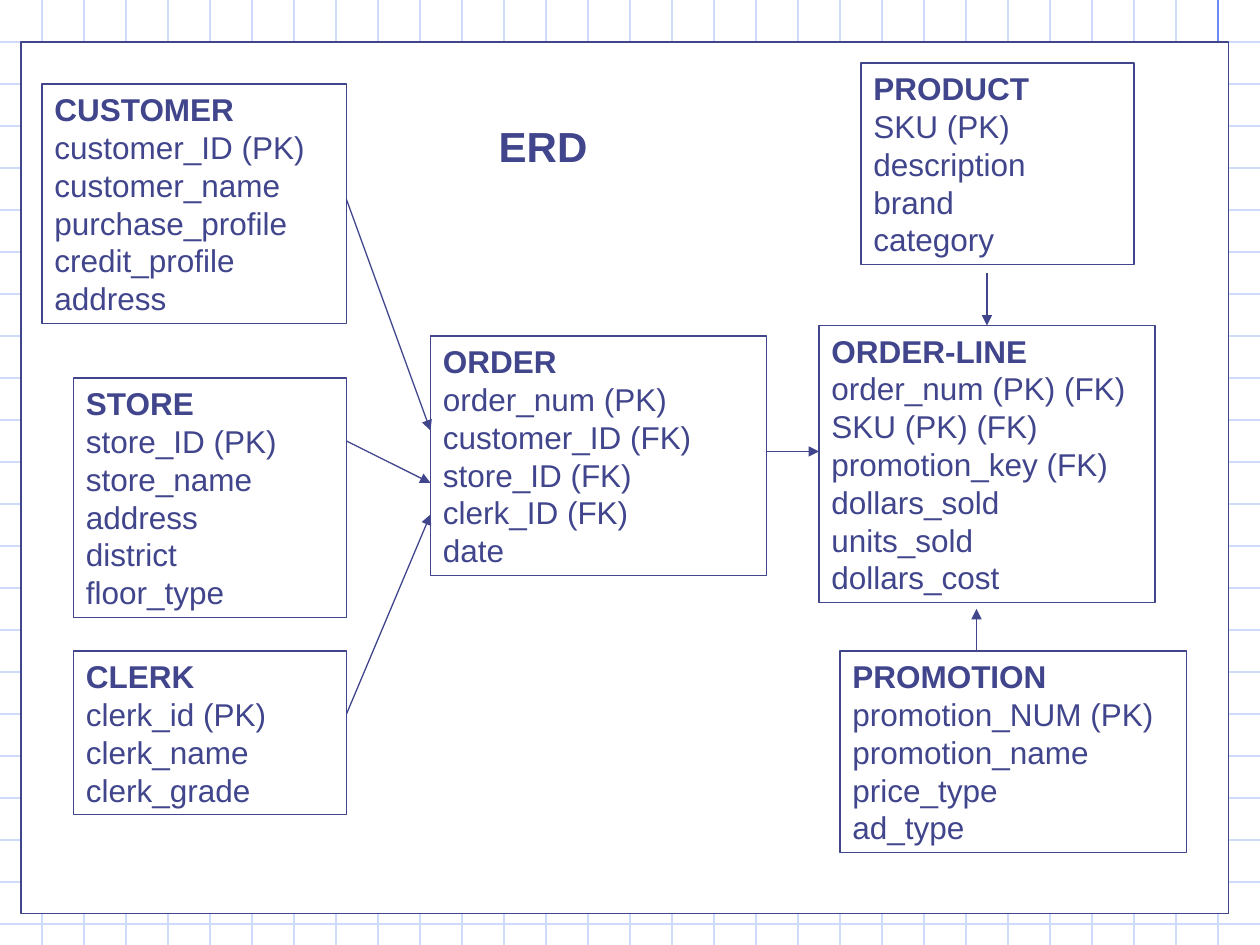
from lxml import etree
from pptx import Presentation, util as u
from pptx.dml.color import RGBColor
from pptx.enum import shapes, text
from pptx.oxml.ns import qn

INK = RGBColor(0x40, 0x45, 0x8C)
GRID = RGBColor(0xCF, 0xDB, 0xFD)
MARGIN = RGBColor(0x6F, 0x89, 0xF7)
WHITE = RGBColor(0xFF, 0xFF, 0xFF)

# The layout grid is 120 columns by 90 rows; ruled paper has a line every 4.
COLS, ROWS, RULE = 120, 90, 4
UNIT = u.Inches(10) // COLS
LEADING = 1.2  # line height as a share of the text size
INSET_X, INSET_Y = u.Inches(0.1), u.Inches(0.05)

# Entity: left column, top row, width in columns, attributes
ENTITIES = {
    "ORDER": (41, 32, 32, ["order_num (PK)", "customer_ID (FK)", "store_ID (FK)",
                           "clerk_ID (FK)", "date"]),
    "STORE": (7, 36, 26, ["store_ID (PK)", "store_name", "address", "district",
                          "floor_type"]),
    "CLERK": (7, 62, 26, ["clerk_id (PK)", "clerk_name", "clerk_grade"]),
    "PRODUCT": (82, 6, 26, ["SKU (PK)", "description", "brand", "category"]),
    "CUSTOMER": (4, 8, 29, ["customer_ID (PK)", "customer_name", "purchase_profile",
                            "credit_profile", "address"]),
    "PROMOTION": (80, 62, 33, ["promotion_NUM (PK)", "promotion_name", "price_type",
                               "ad_type"]),
    "ORDER-LINE": (78, 31, 32, ["order_num (PK) (FK)", "SKU (PK) (FK)",
                                "promotion_key (FK)", "dollars_sold", "units_sold",
                                "dollars_cost"]),
}

# Relationships that meet a box away from the middle of its side
RELATIONS = [
    (33, 19, 41, 41),  # customer to order
    (33, 42, 41, 46),  # store to order
    (33, 68, 41, 49),  # clerk to order
    (73, 43, 78, 43),  # order to order line
    (93, 62, 93, 58),  # promotion to order line
]


def add_line(slide, x1, y1, x2, y2, color, arrow=False):
    line = slide.shapes.add_connector(
        shapes.MSO_CONNECTOR.STRAIGHT, *(UNIT * v for v in (x1, y1, x2, y2)))
    line.line.color.rgb = color
    line.line.width = u.Pt(0.75)
    if arrow:
        etree.SubElement(line.line._get_or_add_ln(), qn("a:tailEnd"), type="triangle")
    etree.SubElement(line._element.spPr, qn("a:effectLst"))
    return line


def add_box(slide, x, y, w, h, fill=None):
    sp = slide.shapes.add_shape(shapes.MSO_SHAPE.RECTANGLE, x, y, w, h)
    sp.shadow.inherit = False
    if fill is None:
        sp.fill.background()
    else:
        sp.fill.solid()
        sp.fill.fore_color.rgb = fill
    sp.line.color.rgb = INK
    sp.line.width = u.Pt(0.75)
    return sp


def write_lines(sp, lines, size):
    """Bold first line, plain lines below it."""
    tf = sp.text_frame
    tf.word_wrap = True
    tf.auto_size = text.MSO_AUTO_SIZE.SHAPE_TO_FIT_TEXT
    tf.vertical_anchor = text.MSO_ANCHOR.TOP
    tf.margin_left = tf.margin_right = INSET_X
    tf.margin_top = tf.margin_bottom = INSET_Y
    for i, line in enumerate(lines):
        p = tf.paragraphs[0] if i == 0 else tf.add_paragraph()
        p.alignment = text.PP_ALIGN.LEFT
        p.line_spacing = u.Pt(size * LEADING)
        r = p.add_run()
        r.text = line
        r.font.name = "Arial"
        r.font.size = u.Pt(size)
        r.font.bold = i == 0
        r.font.color.rgb = INK


def text_height(count, size):
    return u.Pt(count * size * LEADING) + 2 * INSET_Y


def draw_paper(slide, cols, rows):
    for row in range(RULE, rows, RULE):
        add_line(slide, 0, row, cols, row, GRID)
    for col in range(RULE, cols, RULE):
        add_line(slide, col, 0, col, rows, GRID)
    add_line(slide, cols - RULE, 0, cols - RULE, 31, MARGIN)


def draw_entity(slide, name, col, row, width, attributes):
    lines = [name] + attributes
    sp = add_box(slide, UNIT * col, UNIT * row, UNIT * width,
                 text_height(len(lines), 18))
    write_lines(sp, lines, 18)
    return sp


def draw_title(slide, x, y, w):
    sp = slide.shapes.add_textbox(x, y, w, text_height(1, 24))
    write_lines(sp, ["ERD"], 24)


def draw_diagram(slide, col, row, width, height):
    # White panel
    add_box(slide, *(UNIT * v for v in (col, row, width, height)), fill=WHITE)
    # Entities
    boxes = {name: draw_entity(slide, name, *spec_)
             for name, spec_ in ENTITIES.items()}
    # Relationships
    for ends in RELATIONS:
        add_line(slide, *ends, INK, arrow=True)
    product = add_line(slide, 94, 26, 94, 31, INK, arrow=True)
    product.end_connect(boxes["ORDER-LINE"], 0)
    # Title
    draw_title(slide, u.Inches(3.86), u.Inches(0.91), u.Inches(1.98))


def main():
    prs = Presentation()
    prs.slide_width, prs.slide_height = UNIT * COLS, UNIT * ROWS
    s = prs.slides.add_slide(prs.slide_layouts[6])
    draw_paper(s, COLS, ROWS)
    draw_diagram(s, 2, 4, 115, 83)
    prs.save("out.pptx")


if __name__ == "__main__":
    main()
